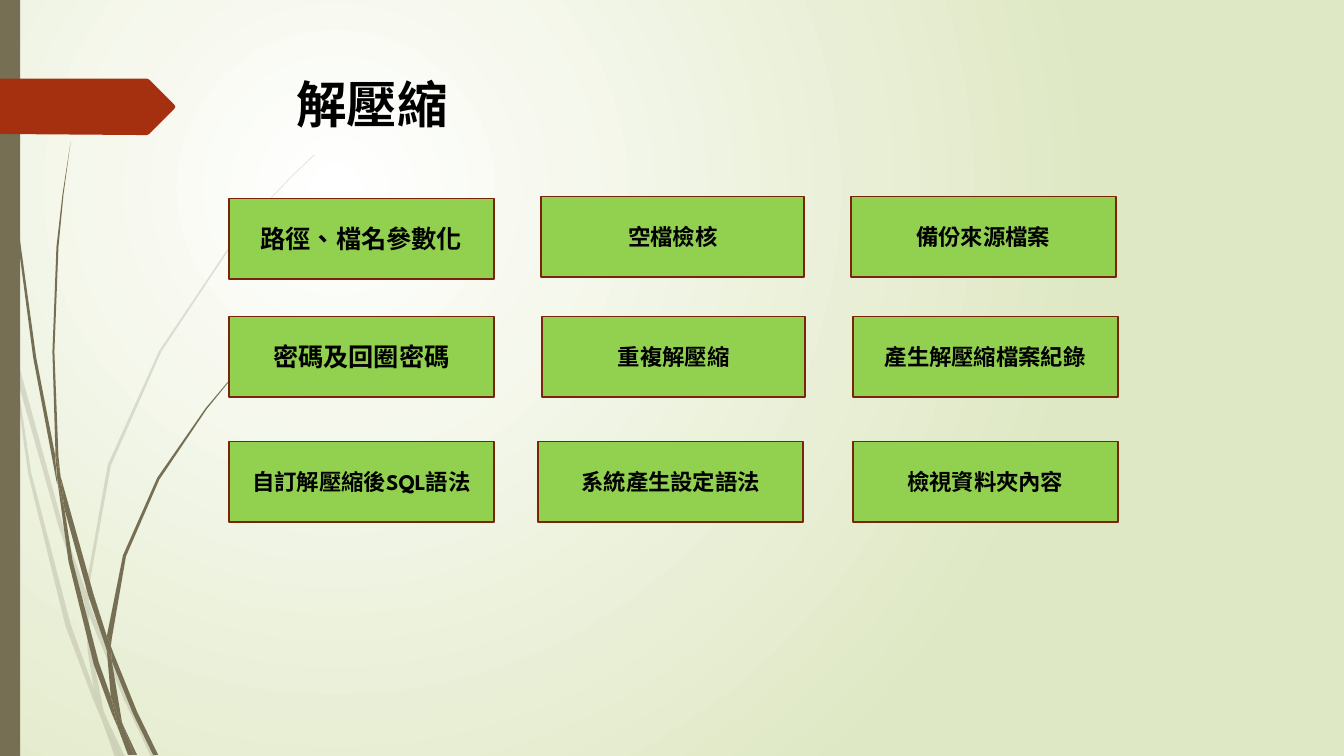
import lxml.etree
import pptx
import pptx.dml.color
import pptx.enum.dml
import pptx.enum.lang
import pptx.enum.shapes
import pptx.enum.text
import pptx.oxml.ns
import pptx.util

Pt = pptx.util.Pt
qn = pptx.oxml.ns.qn
PP_ALIGN = pptx.enum.text.PP_ALIGN
ANCHOR = pptx.enum.text.MSO_ANCHOR

COLORS = {"black": "000000", "white": "FFFFFF", "sage": "DFE8C4", "olive": "766F54",
          "red": "A53010", "green": "92D050", "border": "7A240C"}

# Outlines are in hundredths of an inch.
OUTLINE_UNIT = Pt(0.72)

PALE_WISPS = [
    [(11, 350), (9, 322), (0, 282), (0, 299), (10, 344)],
    [(58, 522), (84, 599), (85, 586), (62, 520), (14, 345), (17, 376)],
    [(92, 607), (88, 596), (88, 610), (123, 694), (150, 751), (155, 751), (127, 692)],
    [(119, 751), (124, 751), (105, 711)],
    [(93, 683), (70, 619), (31, 469), (17, 376), (11, 350), (28, 470), (65, 621),
     (92, 693), (101, 714), (99, 707)],
    [(84, 599), (87, 646), (93, 683), (96, 692), (105, 711), (103, 706), (91, 646),
     (88, 610), (88, 608)],
    [(88, 584), (110, 462), (160, 349), (229, 245), (268, 198), (290, 175), (312, 154),
     (312, 153), (289, 175), (268, 197), (228, 244), (158, 348), (107, 461), (85, 584),
     (85, 586), (88, 596)],
    [(101, 714), (114, 751), (119, 751)],
    [(88, 608), (88, 610), (88, 596), (85, 586), (84, 599)],
    [(96, 692), (93, 683), (99, 707), (101, 714), (119, 751), (105, 711)],
]

DARK_WISPS = [
    [(7, 110), (17, 233), (33, 355), (56, 477), (57, 481), (55, 457), (55, 453),
     (36, 355), (19, 232), (8, 109), (5, 48), (4, 0), (3, 0), (4, 48)],
    [(88, 592), (106, 645), (106, 633), (106, 631), (93, 590), (60, 472), (64, 505)],
    [(113, 649), (110, 641), (111, 656), (132, 708), (152, 749), (157, 749), (136, 706)],
    [(110, 691), (98, 657), (72, 556), (64, 505), (57, 477), (68, 557), (93, 659),
     (111, 708), (117, 722), (116, 717)],
    [(60, 472), (58, 453), (54, 349), (58, 245), (63, 193), (70, 141), (62, 193),
     (56, 245), (52, 349), (55, 449)],
    [(133, 749), (136, 749), (122, 719)],
    [(57, 477), (64, 505), (60, 472), (55, 449), (55, 453)],
    [(111, 633), (125, 552), (158, 476), (205, 406), (231, 374), (245, 359), (261, 344),
     (260, 344), (245, 358), (231, 373), (204, 405), (156, 474), (122, 551), (106, 631),
     (110, 641)],
    [(117, 722), (127, 749), (131, 749)],
    [(106, 645), (110, 691), (116, 706), (122, 719), (121, 716), (111, 656), (109, 651)],
    [(106, 645), (109, 651), (111, 656), (110, 641), (106, 631), (106, 633)],
    [(116, 706), (110, 691), (116, 717), (117, 722), (130, 749), (133, 749), (122, 719)],
]

TITLE_ARROW = [(173, 108), (148, 133), (146, 134), (136, 134), (0, 133), (0, 78),
               (146, 78), (148, 79), (173, 104), (174, 106)]

BOX_HEIGHT = 57.6
# left, top, width, text size, label
BOXES = [
    (163.44, 141.84, 189.36, 18, "路徑、檔名參數化"),
    (386.64, 140.4, 187.92, 16, "空檔檢核"),
    (607.68, 140.4, 189.36, 16, "備份來源檔案"),
    (163.44, 226.08, 189.36, 18, "密碼及回圈密碼"),
    (387.36, 226.08, 187.92, 16, "重複解壓縮"),
    (609.12, 226.08, 189.36, 16, "產生解壓縮檔案紀錄"),
    (163.44, 315.36, 189.36, 16, "自訂解壓縮後SQL語法"),
    (384.48, 315.36, 189.36, 16, "系統產生設定語法"),
    (609.12, 315.36, 189.36, 16, "檢視資料夾內容"),
]


def rgb(name):
    return pptx.dml.color.RGBColor.from_string(COLORS[name])


def write_text(sp, text, size, align=PP_ALIGN.CENTER, anchor=ANCHOR.MIDDLE,
               color="black", font="League Spartan", bold=True):
    tf = sp.text_frame
    tf.word_wrap = True
    tf.vertical_anchor = anchor
    p = tf.paragraphs[0]
    p.alignment = align
    r = p.add_run()
    r.text = text
    r.font.name = font
    r.font.size = Pt(size)
    r.font.bold = bold
    r.font.color.rgb = rgb(color)
    r.font.language_id = pptx.enum.lang.MSO_LANGUAGE_ID.TRADITIONAL_CHINESE


class SlideBuilder:
    def __init__(self, prs):
        self.slide = prs.slides.add_slide(prs.slide_layouts[5])
        self.shapes = self.slide.shapes

    def background(self, inner, outer):
        """Radial gradient centred a quarter of the way across and down."""
        fill = self.slide.background.fill
        fill.gradient()
        for stop, name in zip(fill.gradient_stops, (inner, outer)):
            stop.color.rgb = rgb(name)
        fill.gradient_stops[0].position = 0
        fill.gradient_stops[1].position = 1
        lin = next(self.slide.element.iter(qn("a:lin")))
        grad = lin.getparent()
        radial = lxml.etree.Element(qn("a:path"), path="circle")
        lxml.etree.SubElement(radial, qn("a:fillToRect"),
                              l="50000", t="50000", r="100000", b="100000")
        grad.replace(lin, radial)

    def title(self, text, left, top, width, height):
        sp = self.shapes.title
        sp.left, sp.top, sp.width, sp.height = map(Pt, (left, top, width, height))
        write_text(sp, text, 36, align=PP_ALIGN.LEFT, anchor=ANCHOR.TOP)

    def paint(self, sp, fill, border=None, opacity=None):
        sp.shadow.inherit = False
        sp.fill.solid()
        sp.fill.fore_color.rgb = rgb(fill)
        if opacity is not None:
            color = next(sp.fill._xPr.iter(qn("a:srgbClr")))
            lxml.etree.SubElement(color, qn("a:alpha"), val=str(opacity * 1000))
        if border:
            sp.line.color.rgb = rgb(border)
            sp.line.width = Pt(1.25)
        else:
            sp.line.fill.background()

    def outline(self, points, fill, opacity=None):
        builder = self.shapes.build_freeform(*points[0], scale=OUTLINE_UNIT)
        builder.add_line_segments(points[1:], close=True)
        self.paint(builder.convert_to_shape(), fill, opacity=opacity)

    def rect(self, left, top, width, height, fill, border=None):
        sp = self.shapes.add_shape(pptx.enum.shapes.MSO_SHAPE.RECTANGLE,
                                   Pt(left), Pt(top), Pt(width), Pt(height))
        self.paint(sp, fill, border)
        return sp


def main():
    prs = pptx.Presentation()
    prs.slide_width, prs.slide_height = Pt(960), Pt(540)
    s = SlideBuilder(prs)
    s.background("white", "sage")
    for points in PALE_WISPS:
        s.outline(points, "olive", opacity=20)
    for points in DARK_WISPS:
        s.outline(points, "olive")
    s.rect(0, 0, 14.4, 540, "olive")
    s.outline(TITLE_ARROW, "red")
    s.title("解壓縮", 204.48, 48.96, 702, 100.8)
    for left, top, width, size, label in BOXES:
        sp = s.rect(left, top, width, BOX_HEIGHT, "green", "border")
        write_text(sp, label, size)
    prs.save("out.pptx")


if __name__ == "__main__":
    main()
